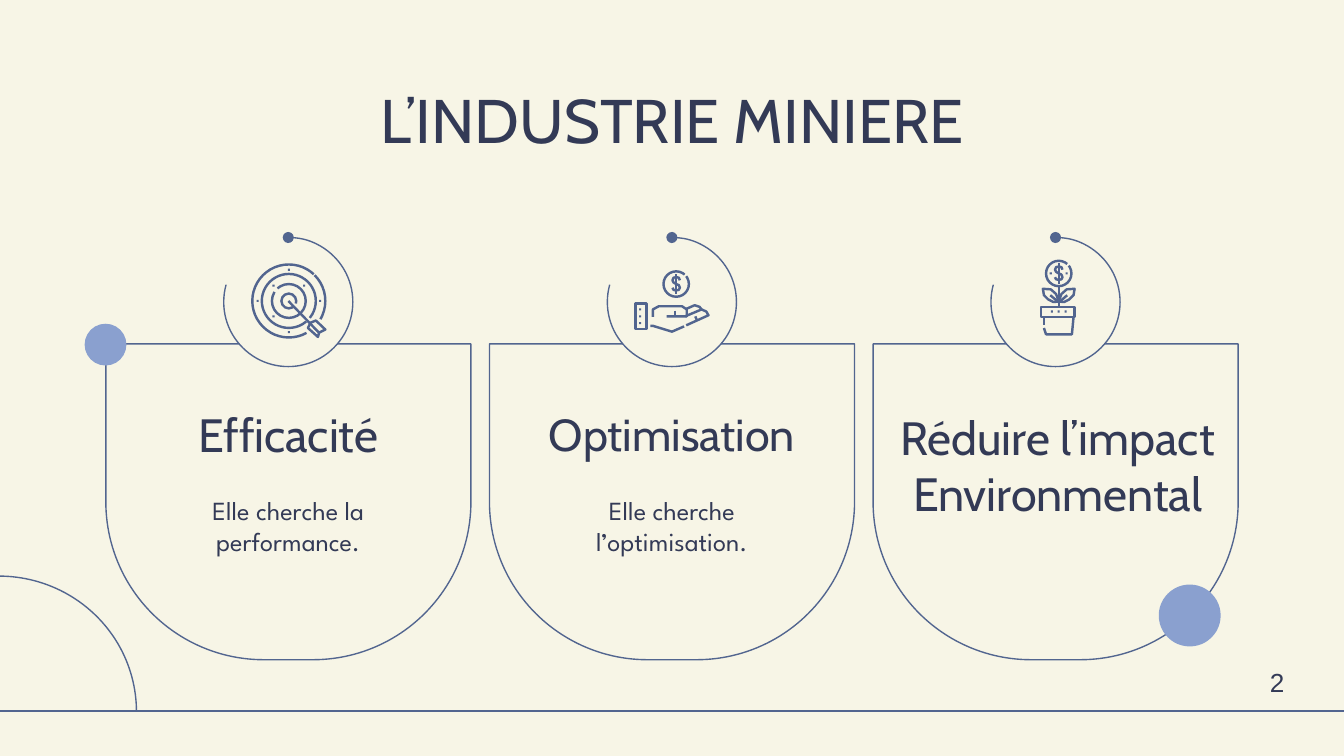
"""Builds the slide on the mining industry: three cards with line icons."""
from lxml import etree
from pptx import Presentation
from pptx.dml.color import RGBColor
from pptx.enum import shapes as kinds, text as layout
from pptx.oxml import ns
from pptx.util import Cm, Pt

COLORS = {"paper": "F7F5E6", "line": "52658F", "ink": "333A56", "dot": "8AA0CF"}
HEADING = "L’INDUSTRIE MINIERE"
CARDS = [
    {"title": "Efficacité", "size": 25, "body": "Elle cherche la performance.", "icon": "target"},
    {"title": "Optimisation", "size": 24, "body": "Elle cherche l’optimisation.", "icon": "hand"},
    {"title": "Réduire l’impact Environmental", "size": 25, "body": None, "icon": "plant"},
]
LEAF = [(0, -0.1), (0.5, -1.5), (1.5, -2.4), (3, -2.5), (2.8, -1.3), (2, -0.5), (1, 0), (0, -0.1)]
VEIN = [(0.3, -0.2), (1.6, -1.3)]
DOLLAR = [
    [(0.7, -0.7), (0.5, -1.2), (0, -1.3), (-0.5, -1.2), (-0.7, -0.7), (-0.5, -0.3), (0, 0),
     (0.5, 0.2), (0.7, 0.7), (0.5, 1.1), (0, 1.2), (-0.5, 1.1), (-0.7, 0.7)],
    [(0, -1.9), (0, 1.9)],
]
ICONS = {
    "target": {
        "center": (0.1, -0.2),
        "arcs": [(6.9, 315, 30), (6.9, 61, 313), (5.1, 50, 39), (3.2, 45, 212),
                 (3.2, 228, 45), (1.4, 50, 20)],
        "strokes": [
            [(4.2, 3.9), (5.2, 3.5), (7, 5.2), (5.8, 5.8), (5.6, 6.6), (3.7, 4.9), (4.2, 3.9)],
            [(0, -0.2), (5.8, 5.8)],
        ],
        "specks": [(0.1, -6.1), (0.1, 5.7), (6, -0.2), (-5.8, -0.2),
                   (3, -3.1), (-2.8, -3.1), (-2.8, 2.7)],
    },
    "hand": {
        "center": (0.8, -3.4),
        "arcs": [(2.4, 322, 312)],
        "strokes": [
            [(-3.6, 2.8), (-3.6, 1.4), (-2.5, 0.8), (1.9, 0.8), (2.8, 1.4), (2.8, 2.7), (-1, 2.7)],
            [(0.6, 1.6), (0.6, 2.7)],
            [(2.7, 1.3), (4.3, 0.6), (5.2, 0.9), (5.6, 1.4), (2.5, 2.7)],
            [(5.6, 1.4), (6.5, 1.8), (6.9, 2.5), (2.7, 4.4)],
            [(4.4, 2.7), (4.7, 3.4)],
            [(-4.1, 4.5), (-3.6, 4.5), (0, 5.6), (2.3, 4.6)],
            [(-6.9, 0.3), (-4.8, 0.3), (-4.8, 5.1), (-6.9, 5.1), (-6.9, 0.3)],
        ],
        "specks": [(-6, 1.4), (-6, 2.7), (-6, 4)],
    },
    "plant": {
        "center": (0.6, -5.4),
        "arcs": [(2.4, 322, 312)],
        "strokes": [
            [(0.6, -3), (0.6, 0.8)],
            [(-2.7, 0.9), (3.6, 0.9), (3.6, 2.8), (-2.7, 2.8), (-2.7, 0.9)],
            [(-2.2, 2.8), (-2.2, 4.4)],
            [(-2.2, 4.9), (-1.8, 6.1), (3.1, 6.1), (3.4, 2.8)],
        ] + [[(0.6 + side * x, y) for x, y in part] for side in (-1, 1) for part in (LEAF, VEIN)],
        "specks": [(-0.9, -5.4), (2.1, -5.4), (-0.7, 1.8), (0.6, 1.8), (1.9, 1.8)],
    },
}
CARD_LEFT, CARD_TOP, CARD_W, CARD_H, PITCH = 2.0, 6.5, 6.9, 5.97, 7.25
RING, RING_Y = 2.44, 5.71
ICON_LINE = 1.3

deck = Presentation()
deck.slide_width, deck.slide_height = Cm(25.4), Cm(14.29)
slide = deck.slides.add_slide(deck.slide_layouts[6])
slide.background.fill.solid()
slide.background.fill.fore_color.rgb = RGBColor.from_string(COLORS["paper"])


def paint(shape, fill=None, weight=None):
    shape.shadow.inherit = False
    if fill:
        shape.fill.solid()
        shape.fill.fore_color.rgb = RGBColor.from_string(COLORS[fill])
    else:
        shape.fill.background()
    if weight:
        shape.line.color.rgb = RGBColor.from_string(COLORS["line"])
        shape.line.width = Pt(weight)
    else:
        shape.line.fill.background()


def add(kind, x, y, w, h, adjust=(), fill=None, weight=None):
    shape = slide.shapes.add_shape(kind, Cm(x), Cm(y), Cm(w), Cm(h))
    for i, value in enumerate(adjust):
        shape.adjustments[i] = value
    paint(shape, fill, weight)
    return shape


def add_arc(cx, cy, radius, start, end, fill=None, weight=0.75):
    return add(kinds.MSO_SHAPE.ARC, cx - radius, cy - radius, 2 * radius, 2 * radius,
               (start * 0.6, end * 0.6), fill, weight)


def add_line(x1, y1, x2, y2, weight):
    line = slide.shapes.add_connector(kinds.MSO_CONNECTOR.STRAIGHT, Cm(x1), Cm(y1), Cm(x2), Cm(y2))
    line.line.color.rgb = RGBColor.from_string(COLORS["line"])
    line.line.width = Pt(weight)
    etree.SubElement(line._element.spPr, ns.qn("a:effectLst"))


def add_text(words, x, y, w, h, size, font, centered=True):
    box = slide.shapes.add_textbox(Cm(x), Cm(y), Cm(w), Cm(h))
    frame = box.text_frame
    frame.word_wrap = True
    frame.margin_left = frame.margin_right = frame.margin_top = frame.margin_bottom = Cm(0.25)
    frame.vertical_anchor = layout.MSO_ANCHOR.MIDDLE
    paragraph = frame.paragraphs[0]
    paragraph.text = words
    paragraph.alignment = layout.PP_ALIGN.CENTER if centered else layout.PP_ALIGN.LEFT
    paragraph.font.size, paragraph.font.name = Pt(size), font
    paragraph.font.color.rgb = RGBColor.from_string(COLORS["ink"])


def add_stroke(points):
    if len(points) == 2:
        add_line(*points[0], *points[1], ICON_LINE)
        return
    corners = [(Cm(x), Cm(y)) for x, y in points]
    pen = slide.shapes.build_freeform(*corners[0])
    pen.add_line_segments(corners[1:], close=points[0] == points[-1])
    paint(pen.convert_to_shape(), weight=ICON_LINE)


def draw_icon(name, cx, cy):
    icon = ICONS[name]
    mx, my = icon["center"]
    for radius, start, end in icon["arcs"]:
        add_arc(cx + mx / 10, cy + my / 10, radius / 10, start, end, weight=ICON_LINE)
    strokes = list(icon["strokes"])
    if name != "target":
        strokes += [[(mx + x, my + y) for x, y in part] for part in DOLLAR]
    for stroke in strokes:
        add_stroke([(cx + x / 10, cy + y / 10) for x, y in stroke])
    for x, y in icon["specks"]:
        add(kinds.MSO_SHAPE.RECTANGLE, cx + x / 10 - 0.02, cy + y / 10 - 0.02, 0.04, 0.04, fill="line")


add(kinds.MSO_SHAPE.ARC, -2.62, 10.89, 5.2, 5.13, (162, 0), weight=0.75)
add_line(0, 13.44, 25.4, 13.44, 0.75)
add_text(HEADING, 2, 1.5, 21.4, 1.5, 33, "Cabin")

for i, card in enumerate(CARDS):
    left = CARD_LEFT + i * PITCH
    middle = left + CARD_W / 2
    outline = add(kinds.MSO_SHAPE.ROUND_2_SAME_RECTANGLE, left, CARD_TOP, CARD_W, CARD_H,
                  (0.5, 0), weight=0.75)
    outline.rotation = 180
    ring = add_arc(middle, RING_Y, RING / 2, 270, 195.62, "paper")
    etree.SubElement(ring.line._get_or_add_ln(), ns.qn("a:headEnd"), type="oval")
    draw_icon(card["icon"], middle, RING_Y)
    if card["body"]:
        add_text(card["title"], middle - 2.91, 7.59, 5.82, 1.22, card["size"], "Cabin")
        add_text(card["body"], middle - 2.91, 8.81, 5.82, 2.24, 14, "League Spartan")
    else:
        add_text(card["title"], left + 0.04, 7.67, CARD_W, 2.24, card["size"], "Cabin")

for x, y, size in [(1.6, 6.12, 0.79), (21.9, 11.05, 1.17)]:
    add(kinds.MSO_SHAPE.OVAL, x, y, size, size, fill="dot")
add_text("2", 23.75, 12.47, 1.14, 0.86, 14, "Arial", centered=False)

deck.save("out.pptx")
